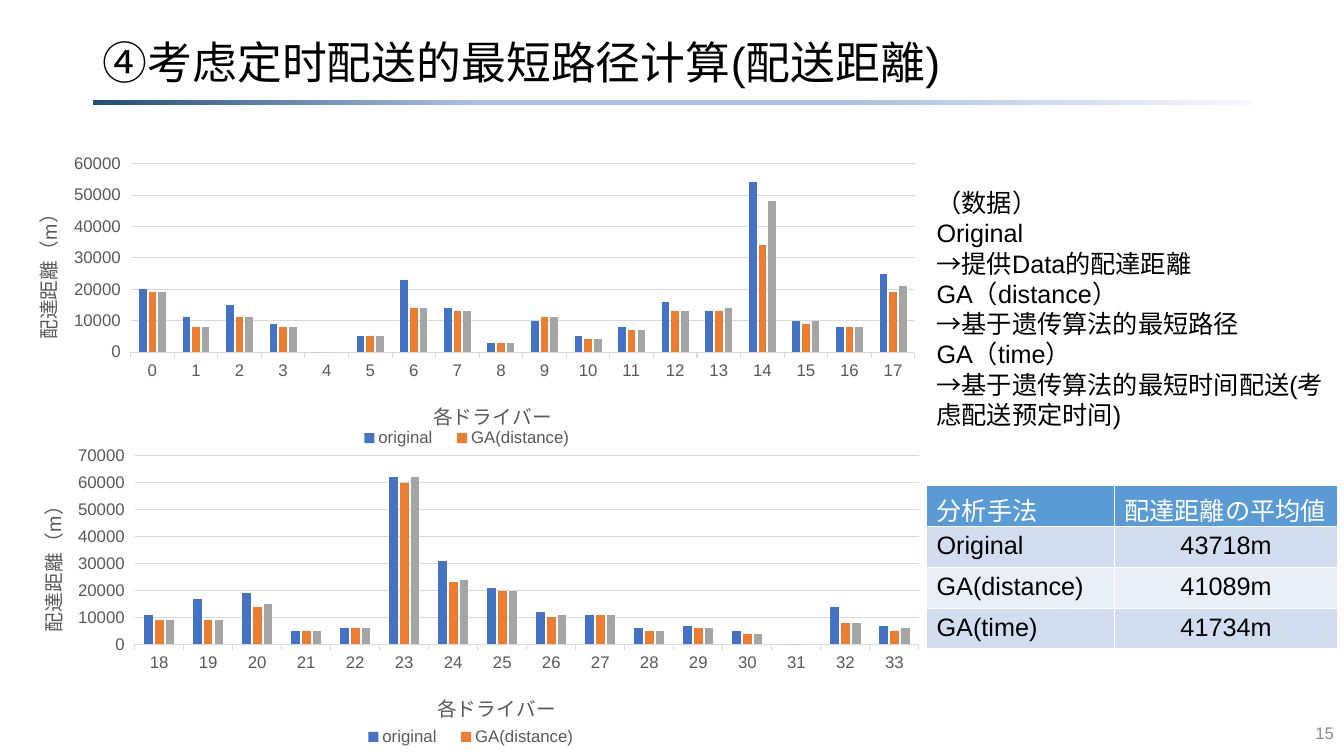
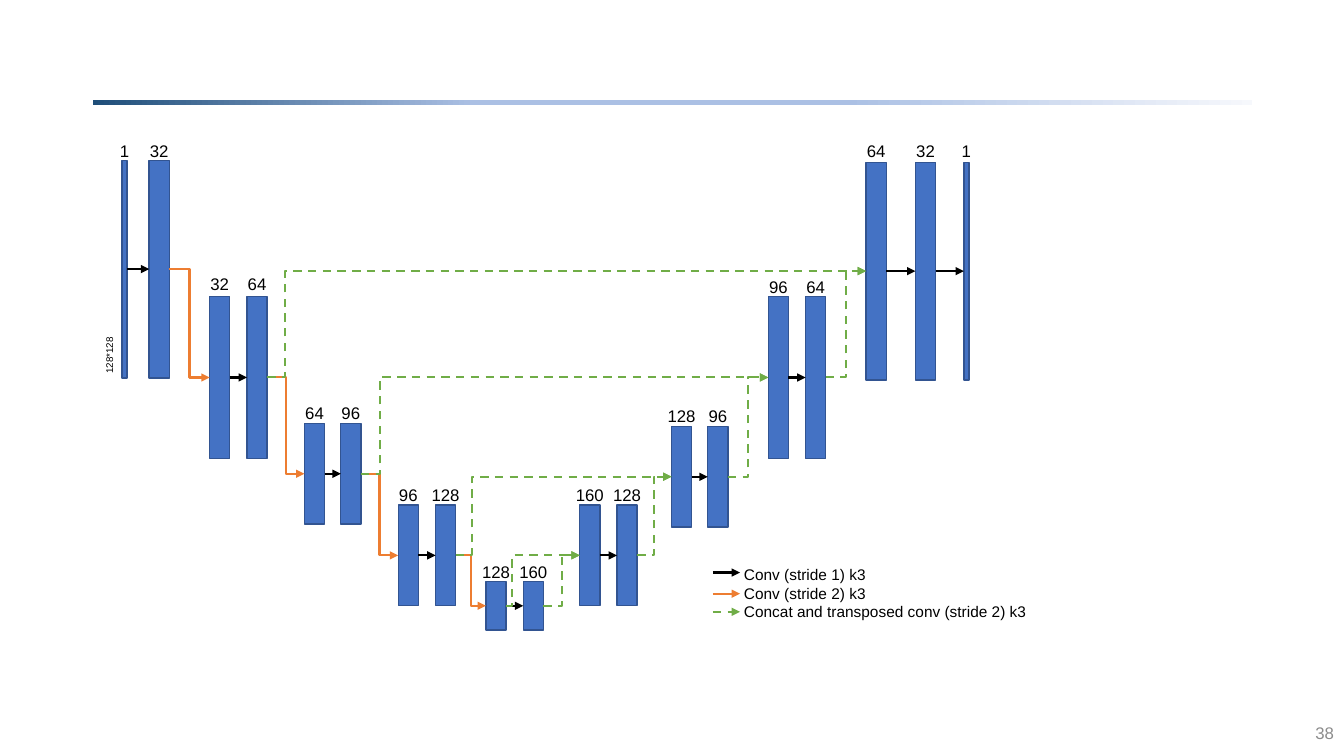
"""Build the delivery distance slide and the network diagram slide."""
from copy import deepcopy
from dataclasses import dataclass
from itertools import pairwise
from typing import Optional

from pptx import Presentation
from pptx.chart.data import CategoryChartData
from pptx.dml.color import RGBColor
from pptx.enum.chart import XL_CHART_TYPE, XL_LEGEND_POSITION, XL_TICK_MARK
from pptx.enum.dml import MSO_LINE
from pptx.enum.shapes import MSO_CONNECTOR, MSO_SHAPE
from pptx.enum.text import MSO_ANCHOR, PP_ALIGN
from pptx.oxml.ns import qn
from pptx.oxml.xmlchemy import BaseOxmlElement
from pptx.shapes.autoshape import Shape
from pptx.slide import Slide
from pptx.text.text import Font
from pptx.util import Inches, Pt

FACE = "Arial"
BLACK = RGBColor(0x00, 0x00, 0x00)
WHITE = RGBColor(0xFF, 0xFF, 0xFF)
GRAY = RGBColor(0x59, 0x59, 0x59)
PALE = RGBColor(0x8C, 0x8C, 0x8C)
RULE = RGBColor(0xD9, 0xD9, 0xD9)
BLUE = RGBColor(0x44, 0x72, 0xC4)
EDGE = RGBColor(0x32, 0x54, 0x91)
ORANGE = RGBColor(0xED, 0x7D, 0x31)
SILVER = RGBColor(0xA5, 0xA5, 0xA5)
GREEN = RGBColor(0x70, 0xAD, 0x47)
HEAD = RGBColor(0x5B, 0x9B, 0xD5)
ROWS = (RGBColor(0xD2, 0xDE, 0xEF), RGBColor(0xEA, 0xEF, 0xF7))
FADE = (
    (0, RGBColor(0x1F, 0x4E, 0x79)),
    (0.33, RGBColor(0xAB, 0xC0, 0xE4)),
    (0.65, RGBColor(0xAB, 0xC0, 0xE4)),
    (1, RGBColor(0xF6, 0xF8, 0xFC)),
)


@dataclass(frozen=True)
class Graph:
    """A column chart of driver distances in thousands of metres."""

    left: float
    top: float
    first: int
    peak: int
    key: float
    data: tuple[tuple[int, ...], ...]


@dataclass(frozen=True)
class Bar:
    """One layer of the network."""

    left: float
    label: str
    wide: float = 0.2


@dataclass(frozen=True)
class Stage:
    """Layers that share one resolution."""

    top: float
    high: float
    bars: tuple[Bar, ...]
    lift: float = 0.25

    @property
    def mid(self) -> float:
        """Return the height at which arrows meet the stage."""
        return self.top + self.high / 2


@dataclass(frozen=True)
class Pen:
    """The look and meaning of an arrow."""

    color: RGBColor
    label: str
    dash: bool = False


SERIES = (("original", BLUE), ("GA(distance)", ORANGE), ("GA(time)", SILVER))
GRAPHS = (
    Graph(0, 1.46, 0, 60, 0.84, (
        (20, 11, 15, 9, 0, 5, 23, 14, 3, 10, 5, 8, 16, 13, 54, 10, 8, 25),
        (19, 8, 11, 8, 0, 5, 14, 13, 3, 11, 4, 7, 13, 13, 34, 9, 8, 19),
        (19, 8, 11, 8, 0, 5, 14, 13, 3, 11, 4, 7, 13, 14, 48, 10, 8, 21),
    )),
    Graph(0.04, 4.36, 18, 70, 0.86, (
        (11, 17, 19, 5, 6, 62, 31, 21, 12, 11, 6, 7, 5, 0, 14, 7),
        (9, 9, 14, 5, 6, 60, 23, 20, 10, 11, 5, 6, 4, 0, 8, 5),
        (9, 9, 15, 5, 6, 62, 24, 20, 11, 11, 5, 6, 4, 0, 8, 6),
    )),
)
NOTES = (
    "（数据）", "Original", "→提供Data的配達距離", "GA（distance）",
    "→基于遗传算法的最短路径", "GA（time）",
    "→基于遗传算法的最短时间配送(考虑配送预定时间)",
)
MEANS = (
    ("分析手法", "配達距離の平均値"),
    ("Original", "43718m"),
    ("GA(distance)", "41089m"),
    ("GA(time)", "41734m"),
)
STAGES = (
    Stage(1.59, 2.16, (Bar(1.21, "1", 0.05), Bar(1.48, "32")), 0.24),
    Stage(2.94, 1.61, (Bar(2.08, "32"), Bar(2.45, "64")), 0.27),
    Stage(4.2, 1, (Bar(3.02, "64"), Bar(3.38, "96"))),
    Stage(5.01, 1, (Bar(3.95, "96"), Bar(4.32, "128"))),
    Stage(5.77, 0.48, (Bar(4.82, "128"), Bar(5.19, "160"))),
    Stage(5.01, 1, (Bar(5.75, "160"), Bar(6.12, "128"))),
    Stage(4.23, 1, (Bar(6.66, "128"), Bar(7.02, "96"))),
    Stage(2.94, 1.61, (Bar(7.62, "96"), Bar(7.99, "64")), 0.24),
    Stage(1.61, 2.16, (Bar(8.59, "64"), Bar(9.08, "32"), Bar(9.56, "1", 0.05)), 0.26),
)
BASE = 4
TURNS = {1: 0.18, 2: 0.19, 3: 0.16, BASE: 0.06}
SAME = Pen(BLACK, "Conv (stride 1) k3")
DOWN = Pen(ORANGE, "Conv (stride 2) k3")
UP = Pen(GREEN, "Concat and transposed conv (stride 2) k3", True)


def style(font: Font, size: float, color: RGBColor) -> None:
    """Set the shared face with a size and colour."""
    font.name, font.size, font.bold = FACE, Pt(size), False
    font.color.rgb = color


def write(slide: Slide, box: tuple[float, ...], lines: tuple[str, ...], size: float,
          color: RGBColor = BLACK, align: PP_ALIGN = PP_ALIGN.LEFT,
          wrap: bool = True) -> Shape:
    """Add a text box with one paragraph per line."""
    shape = slide.shapes.add_textbox(*map(Inches, box))
    frame = shape.text_frame
    frame.word_wrap = wrap
    frame.text = "\n".join(lines)
    for para in frame.paragraphs:
        para.alignment = align
        style(para.font, size, color)
    return shape


def block(slide: Slide, box: tuple[float, ...]) -> Shape:
    """Add a rectangle without a shadow."""
    shape = slide.shapes.add_shape(MSO_SHAPE.RECTANGLE, *map(Inches, box))
    shape.shadow.inherit = False
    return shape


def dress(slide: Slide, number: int) -> None:
    """Add the gradient band and the page number."""
    band = block(slide, (0.92, 0.99, 11.5, 0.05))
    band.line.fill.background()
    band.fill.gradient()
    band.fill.gradient_angle = 0
    stops = band._element.find(".//" + qn("a:gsLst"))
    for _ in range(len(FADE) - len(stops)):
        stops.append(deepcopy(stops[0]))
    for stop, (place, color) in zip(band.fill.gradient_stops, FADE):
        stop.position = place
        stop.color.rgb = color
    page = write(slide, (10.33, 7.07, 3, 0.4), (str(number),), 12, PALE, PP_ALIGN.RIGHT)
    page.text_frame.vertical_anchor = MSO_ANCHOR.MIDDLE


def child(owner: BaseOxmlElement, tag: str, **values: str) -> BaseOxmlElement:
    """Append an XML element with attributes."""
    node = owner.makeelement(qn(tag), values)
    owner.append(node)
    return node


def pin(owner: BaseOxmlElement, after: Optional[str], **spots: float) -> None:
    """Give a chart part a fixed place, as shares of the chart."""
    old = owner.find(qn("c:layout"))
    if old is not None:
        owner.remove(old)
    layout = child(owner, "c:layout")
    manual = child(layout, "c:manualLayout")
    if after is None:
        child(manual, "c:layoutTarget", val="inner")
        owner.insert(0, layout)
    else:
        owner.find(qn(after)).addnext(layout)
    for side in "xy":
        child(manual, f"c:{side}Mode", val="edge")
    for side, share in spots.items():
        child(manual, f"c:{side}", val=str(share))


def plot(slide: Slide, graph: Graph) -> None:
    """Add one distance chart."""
    data = CategoryChartData()
    data.categories = [str(graph.first + i) for i in range(len(graph.data[0]))]
    for (name, _), row in zip(SERIES, graph.data):
        data.add_series(name, [value * 1000 for value in row])
    box = map(Inches, (graph.left, graph.top, 9.26, 3.28))
    chart = slide.shapes.add_chart(XL_CHART_TYPE.COLUMN_CLUSTERED, *box, data).chart
    chart.has_title = False
    style(chart.font, 10, BLACK)
    columns = chart.plots[0]
    columns.gap_width, columns.overlap = 219, -27
    columns.vary_by_categories = False
    for series, (_, color) in zip(columns.series, SERIES):
        series.format.fill.solid()
        series.format.fill.fore_color.rgb = color
    cat, val = chart.category_axis, chart.value_axis
    for axis, text, x, y in ((cat, "各ドライバー", 0.46, 0.75),
                             (val, "配達距離（m）", 0.03, 0.16)):
        style(axis.tick_labels.font, 12, GRAY)
        axis.major_tick_mark = XL_TICK_MARK.OUTSIDE
        frame = axis.axis_title.text_frame
        frame.text = text
        style(frame.paragraphs[0].font, 14, GRAY)
        pin(axis.axis_title._element, "c:tx", x=x, y=y)
    val.axis_title._element.find(".//" + qn("a:bodyPr")).set("rot", "-5400000")
    val.minimum_scale, val.maximum_scale = 0, graph.peak * 1000
    val.major_unit = 10000
    for line in (cat.format.line, val.major_gridlines.format.line):
        line.color.rgb, line.width = RULE, Pt(0.75)
    val.format.line.fill.background()
    pin(chart._chartSpace.find(".//" + qn("c:plotArea")), None,
        x=0.14, y=0.05, w=0.84, h=0.57)
    chart.has_legend = True
    legend = chart.legend
    legend.position = XL_LEGEND_POSITION.BOTTOM
    legend.include_in_layout = False
    style(legend.font, 12, GRAY)
    pin(legend._element, "c:legendPos", x=0.37, y=graph.key, w=0.26, h=0.08)
    entry = child(legend._element, "c:legendEntry")
    child(entry, "c:idx", val="2")
    child(entry, "c:delete", val="1")
    legend._element.find(qn("c:legendPos")).addnext(entry)


def tabulate(slide: Slide) -> None:
    """Add the table of mean distances."""
    box = map(Inches, (9.19, 4.82, 4.08, 1.62))
    table = slide.shapes.add_table(len(MEANS), 2, *box).table
    for col, wide in zip(table.columns, (1.86, 2.22)):
        col.width = Inches(wide)
    for i, row in enumerate(MEANS):
        for j, text in enumerate(row):
            cell = table.cell(i, j)
            cell.text = text
            cell.fill.solid()
            cell.fill.fore_color.rgb = ROWS[(i - 1) % 2] if i else HEAD
            para = cell.text_frame.paragraphs[0]
            para.alignment = PP_ALIGN.CENTER if i and j else PP_ALIGN.LEFT
            style(para.font, 18, BLACK if i else WHITE)


def arrow(slide: Slide, start: tuple[float, float], end: tuple[float, float],
          pen: Pen, turn: Optional[float] = None) -> None:
    """Add an arrow that bends when its ends differ in height."""
    kind = MSO_CONNECTOR.STRAIGHT if start[1] == end[1] else MSO_CONNECTOR.ELBOW
    link = slide.shapes.add_connector(kind, *map(Inches, start + end))
    link.line.color.rgb, link.line.width = pen.color, Pt(1.5)
    if pen.dash:
        link.line.dash_style = MSO_LINE.DASH
    child(link._element.find(".//" + qn("a:ln")), "a:tailEnd", type="triangle")
    child(link._element.spPr, "a:effectLst")
    if turn is not None:
        share = round(turn / (end[0] - start[0]) * 100000)
        guides = link._element.find(".//" + qn("a:avLst"))
        child(guides, "a:gd", name="adj1", fmla=f"val {share}")


def join(slide: Slide, old: Stage, bar: Bar, new: Stage, goal: Bar,
         pen: Pen, turn: Optional[float] = None) -> None:
    """Link the right side of a bar to the left side of another."""
    arrow(slide, (bar.left + bar.wide, old.mid), (goal.left, new.mid), pen, turn)


def network(slide: Slide) -> None:
    """Draw the layers, their links and the key."""
    for stage in STAGES:
        for bar in stage.bars:
            shape = block(slide, (bar.left, stage.top, bar.wide, stage.high))
            shape.fill.solid()
            shape.fill.fore_color.rgb = BLUE
            shape.line.color.rgb, shape.line.width = EDGE, Pt(1)
            spot = (bar.left + bar.wide / 2 - 0.25, stage.top - stage.lift, 0.5, 0.3)
            write(slide, spot, (bar.label,), 12, align=PP_ALIGN.CENTER, wrap=False)
        for bar, goal in pairwise(stage.bars):
            join(slide, stage, bar, stage, goal, SAME)
    for i, (old, new) in enumerate(pairwise(STAGES)):
        join(slide, old, old.bars[-1], new, new.bars[0], DOWN if i < BASE else UP)
    for i, turn in TURNS.items():
        old, new = STAGES[i], STAGES[len(STAGES) - i]
        join(slide, old, old.bars[0 if i == BASE else -1], new, new.bars[0], UP, turn)
    pens = (SAME, DOWN, UP)
    write(slide, (7.28, 5.56, 3.02, 0.66), tuple(pen.label for pen in pens), 11, wrap=False)
    for pen, y in zip(pens, (5.68, 5.89, 6.07)):
        arrow(slide, (7.07, y), (7.34, y), pen)
    write(slide, (0.8, 3.41, 0.57, 0.22), ("128*128",), 7, wrap=False).rotation = 270


def main() -> None:
    """Build and save both slides."""
    deck = Presentation()
    deck.slide_width, deck.slide_height = Inches(13.33), Inches(7.5)
    slide = deck.slides.add_slide(deck.slide_layouts[5])
    dress(slide, 15)
    title = slide.shapes.title
    title.left, title.top, title.width, title.height = map(Inches, (0.92, 0.33, 11.5, 0.62))
    title.text_frame.text = "④考虑定时配送的最短路径计算(配送距離)"
    title.text_frame.vertical_anchor = MSO_ANCHOR.MIDDLE
    para = title.text_frame.paragraphs[0]
    para.alignment, para.line_spacing = PP_ALIGN.LEFT, 0.9
    style(para.font, 32, BLACK)
    write(slide, (9.19, 1.81, 4.21, 2.52), NOTES, 18)
    tabulate(slide)
    for graph in GRAPHS:
        plot(slide, graph)
    slide = deck.slides.add_slide(deck.slide_layouts[6])
    dress(slide, 38)
    network(slide)
    deck.save("out.pptx")


if __name__ == "__main__":
    main()
